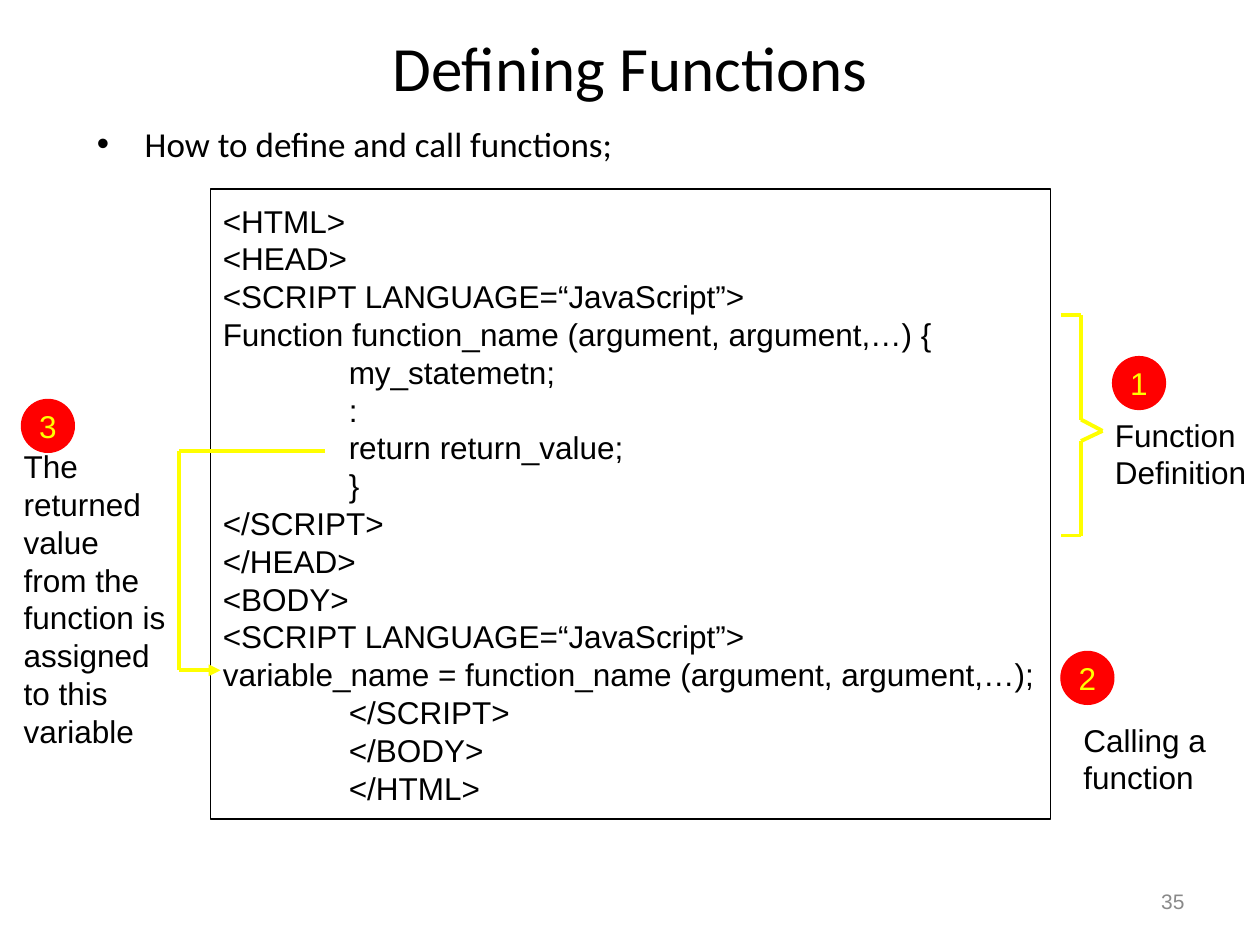
from itertools import pairwise

from lxml.etree import SubElement
from pptx import Presentation
from pptx.dml.color import RGBColor
from pptx.enum.shapes import MSO_CONNECTOR, MSO_SHAPE
from pptx.enum.text import MSO_ANCHOR, PP_ALIGN
from pptx.oxml.ns import qn
from pptx.util import Inches, Pt

BLACK, WHITE, GREY = "000000", "FFFFFF", "898989"
RED, YELLOW = "FF0000", "FFFF00"

# Content
TITLE = "Defining Functions"
BULLET = "How to define and call functions;"
PAGE_NUMBER = "35"
CODE = [
    "<HTML>",
    "<HEAD>",
    "<SCRIPT LANGUAGE=“JavaScript”>",
    "Function function_name (argument, argument,…) {",
    "\tmy_statemetn;",
    "\t:",
    "\treturn return_value;",
    "\t}",
    "</SCRIPT>",
    "</HEAD>",
    "<BODY>",
    "<SCRIPT LANGUAGE=“JavaScript”>",
    "variable_name = function_name (argument, argument,…);",
    "\t</SCRIPT>",
    "\t</BODY>",
    "\t</HTML>",
]
CODE_TAB = 1
NOTES = [  # text, box
    ("Function Definition", (8.75, 3.25, 1.25, 0.7)),
    ("Calling a function", (8.5, 5.67, 1.25, 0.7)),
    ("The returned value from the function is assigned to this variable",
     (0.09, 3.5, 1.33, 2.5)),
]
BADGES = [("3", 0.17, 3.17), ("1", 8.83, 2.83), ("2", 8.42, 5.17)]
BADGE_SIZE = 0.42
BRACKET = [(8.42, 2.5), (8.58, 2.5), (8.58, 3.33), (8.75, 3.42),
           (8.58, 3.5), (8.58, 4.25), (8.42, 4.25)]
RETURN_ARROW = [(2.58, 3.58), (1.42, 3.58), (1.42, 5.32), (1.75, 5.32)]


def color(value):
    return RGBColor.from_string(value)


def write(shape, lines, size, ink=BLACK, font="Arial", align=PP_ALIGN.LEFT,
          anchor=MSO_ANCHOR.TOP, wrap=True, before=0):
    frame = shape.text_frame
    frame.word_wrap = wrap
    frame.vertical_anchor = anchor
    frame.text = "\n".join(lines)
    for para in frame.paragraphs:
        para.alignment = align
        para.space_before = Pt(before)
        para.font.size = Pt(size)
        para.font.name = font
        para.font.color.rgb = color(ink)


def add_property(para, tag, **attributes):
    """Add a paragraph property, keeping the default run properties last."""
    properties = para._p.get_or_add_pPr()
    element = SubElement(properties, qn(tag), **attributes)
    properties.append(properties.find(qn("a:defRPr")))
    return element


def add_text(box, text, size, **style):
    shape = page.shapes.add_textbox(*map(Inches, box))
    write(shape, [text], size, **style)
    return shape


def add_block(kind, box, fill, line, lines, **style):
    shape = page.shapes.add_shape(kind, *map(Inches, box))
    shape.shadow.inherit = False
    shape.fill.solid()
    shape.fill.fore_color.rgb = color(fill)
    shape.line.color.rgb = color(line)
    shape.line.width = Pt(0.75)
    write(shape, lines, 18, anchor=MSO_ANCHOR.MIDDLE, wrap=False, **style)
    return shape


def add_path(points):
    """Join the points with straight yellow lines and return the last one."""
    for start, end in pairwise(points):
        line = page.shapes.add_connector(
            MSO_CONNECTOR.STRAIGHT, *map(Inches, start + end))
        line.line.color.rgb = color(YELLOW)
        line.line.width = Pt(2.25)
        SubElement(line._element.spPr, qn("a:effectLst"))
    return line


deck = Presentation()
deck.slide_width, deck.slide_height = Inches(10), Inches(7.5)
page = deck.slides.add_slide(deck.slide_layouts[6])

# Title, bullet and page number
add_text((0.5, 0.3, 9, 0.45), TITLE, 36, font="Calibri",
         align=PP_ALIGN.CENTER, anchor=MSO_ANCHOR.MIDDLE)
body = add_text((0.67, 0.92, 9.08, 0.5), BULLET, 20, font="Calibri", before=5)
bullet = body.text_frame.paragraphs[0]
bullet._p.pPr.set("marL", str(Inches(0.38)))
bullet._p.pPr.set("indent", str(-Inches(0.38)))
add_property(bullet, "a:buFont", typeface="Arial")
add_property(bullet, "a:buChar", char="•")
add_text((7.17, 6.95, 2.33, 0.4), PAGE_NUMBER, 12, ink=GREY,
         align=PP_ALIGN.RIGHT, anchor=MSO_ANCHOR.MIDDLE)

# Code listing, indented by a tab stop
listing = add_block(MSO_SHAPE.RECTANGLE, (1.67, 1.5, 6.67, 5),
                    WHITE, BLACK, CODE)
for para in listing.text_frame.paragraphs:
    tabs = add_property(para, "a:tabLst")
    SubElement(tabs, qn("a:tab"), pos=str(Inches(CODE_TAB)), algn="l")

# Notes and their numbered badges
for text, box in NOTES:
    add_text(box, text, 18, before=11.2)
for number, left, top in BADGES:
    add_block(MSO_SHAPE.FLOWCHART_CONNECTOR,
              (left, top, BADGE_SIZE, BADGE_SIZE), RED, RED, [number],
              ink=YELLOW, align=PP_ALIGN.CENTER)

# Bracket around the definition, arrow from the return value to the variable
add_path(BRACKET)
tip = add_path(RETURN_ARROW)
SubElement(tip.line._get_or_add_ln(), qn("a:tailEnd"), type="triangle")

deck.save("out.pptx")
